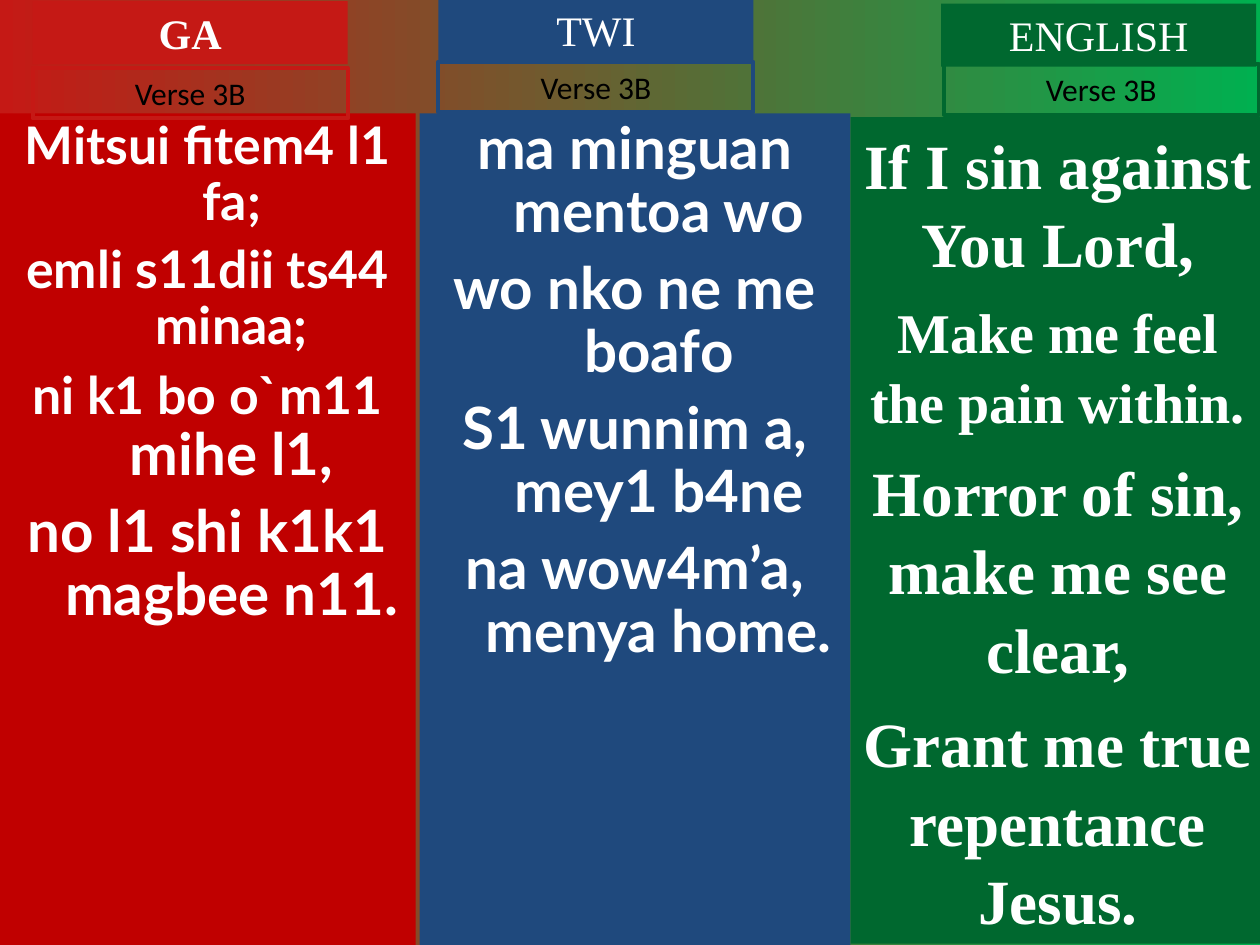
import pptx
import pptx.dml.color
import pptx.enum.shapes
import pptx.enum.text
import pptx.util
from dataclasses import dataclass

Inches = pptx.util.Inches
Pt = pptx.util.Pt


@dataclass(frozen=True)
class Theme:
    red: str = "C51915"
    deep_red: str = "C00000"
    blue: str = "1F497D"
    green: str = "00682F"
    bright_green: str = "00B050"
    white: str = "FFFFFF"
    black: str = "000000"
    serif: str = "Times New Roman"
    lyric: str = "Lato"
    label: str = "Calibri"
    title_size: float = 24
    label_size: float = 18
    small: float = 29.6
    medium: float = 33.3
    mid: float = 32
    large: float = 36


def rgb(value):
    return pptx.dml.color.RGBColor.from_string(value)


class HymnSlide:
    """Draws the parts of a three-language hymn slide in one style."""

    def __init__(self, prs, theme):
        self.theme = theme
        self.s = prs.slides.add_slide(prs.slide_layouts[6])

    def background(self, start, end):
        fill = self.s.background.fill
        fill.gradient()
        fill.gradient_angle = 0
        for stop, color, position in zip(fill.gradient_stops, (start, end), (0, 1)):
            stop.color.rgb = rgb(color)
            stop.position = position

    def box(self, at, fill=None, line=None, grow=False):
        sp = self.s.shapes.add_shape(
            pptx.enum.shapes.MSO_SHAPE.RECTANGLE, *map(Inches, at))
        sp.shadow.inherit = False
        if fill:
            sp.fill.solid()
            sp.fill.fore_color.rgb = rgb(fill)
        else:
            sp.fill.background()
        if line:
            sp.line.color.rgb = rgb(line)
            sp.line.width = Pt(2.25)
        else:
            sp.line.fill.background()
        sizing = pptx.enum.text.MSO_AUTO_SIZE
        tf = sp.text_frame
        fmt = {
            "word_wrap": True,
            "vertical_anchor": pptx.enum.text.MSO_ANCHOR.TOP,
            "auto_size": sizing.SHAPE_TO_FIT_TEXT if grow else sizing.NONE,
        }
        for name, value in fmt.items():
            setattr(tf, name, value)
        return tf

    def add_text(self, p, runs, font, color, bold=False, **fmt):
        p.alignment = pptx.enum.text.PP_ALIGN.CENTER
        for name, value in fmt.items():
            setattr(p, name, value)
        for text, size in runs:
            r = p.add_run()
            r.text = text
            style = {"name": font, "size": Pt(size), "bold": bold}
            for name, value in style.items():
                setattr(r.font, name, value)
            r.font.color.rgb = rgb(color)

    def heading(self, left, top, text, color, bold=False):
        t = self.theme
        tf = self.box((left, top, 2.5, 0.5), fill=color, grow=True)
        self.add_text(tf.paragraphs[0], [(text, t.title_size)], t.serif, t.white, bold)

    def verse_label(self, left, top, color):
        t = self.theme
        tf = self.box((left, top, 2.5, 0.4), line=color, grow=True)
        self.add_text(tf.paragraphs[0], [("Verse 3B", t.label_size)], t.label, t.black)

    def lyrics(self, at, color, verses, font, spacing, hanging=0):
        tf = self.box(at, fill=color)
        for i, runs in enumerate(verses):
            p = tf.add_paragraph() if i else tf.paragraphs[0]
            if hanging:
                ppr = p._p.get_or_add_pPr()
                ppr.set("marL", str(Inches(hanging)))
                ppr.set("indent", str(-Inches(hanging)))
            before = Pt(round(runs[-1][1] / 4)) if i else Pt(0)
            self.add_text(p, runs, font, self.theme.white, True,
                          line_spacing=spacing, space_before=before)


def main():
    prs = pptx.Presentation()
    prs.slide_width, prs.slide_height = Inches(10), Inches(7.5)
    t = Theme()
    hymn = HymnSlide(prs, t)
    hymn.background(t.red, t.bright_green)

    ga = [
        [("Mitsui fitem4 l1 fa;", t.small)],
        [("emli s11dii ts44 minaa;", t.small)],
        [("ni k1 bo o`m11 ", t.small), ("mihe l1,", t.medium)],
        [("no l1 shi k1k1 magbee n11.", t.medium)],
    ]
    twi = [[(text, t.medium)] for text in (
        "ma minguan mentoa wo", "wo nko ne me boafo",
        "S1 wunnim a, mey1 b4ne", "na wow4m’a, menya home.")]
    english = [
        [("If I sin against You Lord,", t.large)],
        [("Make me feel the pain within.", t.mid)],
        [("Horror of sin, make me see clear,", t.large)],
        [("Grant me true repentance Jesus.", t.large)],
    ]

    hymn.lyrics((0, 0.9, 3.3, 6.6), t.deep_red, ga, t.lyric, 0.9, 0.38)
    hymn.lyrics((3.33, 0.9, 3.42, 6.6), t.blue, twi, t.lyric, 0.9, 0.38)
    hymn.lyrics((6.75, 0.93, 3.29, 6.56), t.green, english, t.serif, 1.04)

    for text, color, bold, title_at, label_at in (
        ("GA", t.red, True, (0.26, 0.01), (0.26, 0.54)),
        ("TWI", t.blue, False, (3.48, -0.01), (3.48, 0.49)),
        ("ENGLISH", t.green, False, (7.47, 0.03), (7.49, 0.51)),
    ):
        hymn.heading(*title_at, text, color, bold)
        hymn.verse_label(*label_at, color)

    prs.save("out.pptx")


if __name__ == "__main__":
    main()
